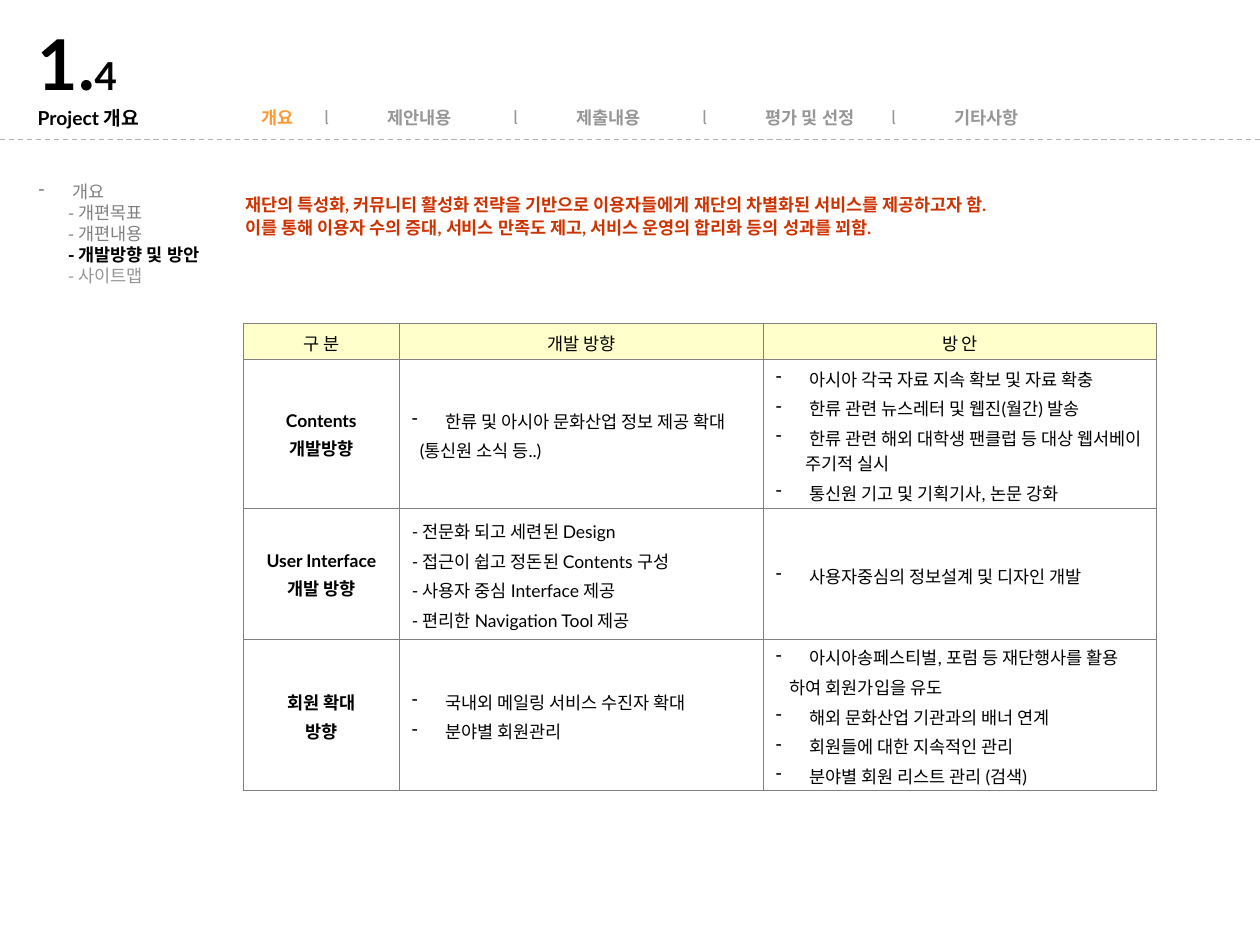
from lxml.etree import SubElement
from pptx import Presentation
from pptx.dml.color import RGBColor
from pptx.enum.dml import MSO_LINE
from pptx.enum.shapes import MSO_CONNECTOR
from pptx.enum.text import MSO_ANCHOR, MSO_AUTO_SIZE, PP_ALIGN
from pptx.oxml.ns import qn
from pptx.util import Pt

LATIN, KOREAN = "Lato", "Noto Sans CJK KR"
BLACK, GRAY, LIGHT_GRAY = "000000", "808080", "969696"
ORANGE, RED, CREAM, WHITE = "FF9933", "CC3300", "FFFFCC", "FFFFFF"
RULE_GRAY = "B2B2B2"
HANG = 17

MENU = ["개요", "제안내용", "제출내용", "평가 및 선정", "기타사항"]
MENU_TABS = [30, 41.5, 87, 99, 145.5, 159, 219, 232.5]

OUTLINE = [
    (" 개요", dict(bullet=True, color=GRAY)),
    ("- 개편목표", dict(color=GRAY)),
    ("- 개편내용", dict(color=GRAY)),
    ("- 개발방향 및 방안", dict(color=BLACK, bold=True)),
    ("- 사이트맵", dict(color=LIGHT_GRAY)),
]

SUMMARY = [
    "재단의 특성화, 커뮤니티 활성화 전략을 기반으로 이용자들에게 재단의 차별화된 서비스를 제공하고자 함.",
    "이를 통해 이용자 수의 증대, 서비스 만족도 제고, 서비스 운영의 합리화 등의 성과를 꾀함.",
]

# A line that starts with a space takes a bullet; a (text, indent) pair is indented.
HEADERS = ["구 분", "개발 방향", "방 안"]
ROWS = [
    (["Contents", "개발방향"],
     [" 한류 및 아시아 문화산업 정보 제공 확대", ("(통신원 소식 등..)", 4.5)],
     [" 아시아 각국 자료 지속 확보 및 자료 확충",
      " 한류 관련 뉴스레터 및 웹진(월간) 발송",
      " 한류 관련 해외 대학생 팬클럽 등 대상 웹서베이 주기적 실시",
      " 통신원 기고 및 기획기사, 논문 강화"]),
    (["User Interface", "개발 방향"],
     ["- 전문화 되고 세련된 Design", "- 접근이 쉽고 정돈된 Contents 구성",
      "- 사용자 중심 Interface 제공", "- 편리한 Navigation Tool 제공"],
     [" 사용자중심의 정보설계 및 디자인 개발"]),
    (["회원 확대", "방향"],
     [" 국내외 메일링 서비스 수진자 확대", " 분야별 회원관리"],
     [" 아시아송페스티벌, 포럼 등 재단행사를 활용",
      ("하여 회원가입을 유도", 8),
      " 해외 문화산업 기관과의 배너 연계",
      " 회원들에 대한 지속적인 관리",
      " 분야별 회원 리스트 관리 (검색)"]),
]
COLUMN_WIDTHS = [89.2, 208, 224.8]
ROW_HEIGHTS = [20.6, 85.2, 74.8, 86.4]


def rgb(value):
    return RGBColor.from_string(value)


def add_span(para, text, size=10, color=BLACK, bold=False, latin=LATIN, asian=LATIN):
    span = para.add_run()
    span.text = text
    font = span.font
    font.size, font.bold, font.name = Pt(size), bold, latin
    font.color.rgb = rgb(color)
    SubElement(font._element, qn("a:ea"), typeface=asian)


def add_para(frame, text="", align=PP_ALIGN.LEFT, bullet=False, indent=0,
             before=0, spacing=None, tabs=(), **span_format):
    """Fill the empty first paragraph of the frame, or add one below."""
    first = len(frame.paragraphs) == 1 and not frame.paragraphs[0].runs
    para = frame.paragraphs[0] if first else frame.add_paragraph()
    properties = para._p.get_or_add_pPr()
    properties.set("marL", str(Pt(HANG if bullet else indent)))
    properties.set("indent", str(-Pt(HANG) if bullet else 0))
    if bullet:
        SubElement(properties, qn("a:buChar"), char="-")
    else:
        SubElement(properties, qn("a:buNone"))
    if tabs:
        tab_list = SubElement(properties, qn("a:tabLst"))
        for position in tabs:
            SubElement(tab_list, qn("a:tab"), pos=str(Pt(position)), algn="l")
    para.alignment = align
    para.space_before = Pt(0 if first else before)
    if spacing:
        para.line_spacing = spacing
    if text:
        add_span(para, text, **span_format)
    return para


def prepare_frame(box, wrap=True):
    frame = box.text_frame
    frame.auto_size = MSO_AUTO_SIZE.NONE
    frame.word_wrap = wrap
    frame.vertical_anchor = MSO_ANCHOR.TOP
    frame.margin_left = frame.margin_right = Pt(7.2)
    frame.margin_top = frame.margin_bottom = Pt(3.6)
    return frame


def add_box(slide, left, top, width, height, wrap=True):
    box = slide.shapes.add_textbox(Pt(left), Pt(top), Pt(width), Pt(height))
    return prepare_frame(box, wrap)


def fill_cell(cell, lines, fill=WHITE, align=PP_ALIGN.LEFT, bold=False):
    properties = cell._tc.get_or_add_tcPr()
    for side in ("lnL", "lnR", "lnT", "lnB"):
        border = SubElement(properties, qn(f"a:{side}"), w=str(Pt(0.45)))
        solid = SubElement(border, qn("a:solidFill"))
        SubElement(solid, qn("a:srgbClr"), val=GRAY)
    cell.fill.solid()
    cell.fill.fore_color.rgb = rgb(fill)
    cell.vertical_anchor = MSO_ANCHOR.MIDDLE
    cell.margin_left = cell.margin_right = Pt(7.2)
    cell.margin_top, cell.margin_bottom = Pt(3), Pt(1)
    for line in lines:
        text, indent = line if isinstance(line, tuple) else (line, 0)
        add_para(cell.text_frame, text, align=align, bullet=text.startswith(" "),
                 indent=indent, before=2.5, bold=bold, asian=KOREAN)


def add_plan_table(slide):
    table = slide.shapes.add_table(
        len(ROWS) + 1, len(HEADERS), Pt(139), Pt(184.7),
        Pt(sum(COLUMN_WIDTHS)), Pt(sum(ROW_HEIGHTS))).table
    table.first_row = table.horz_banding = False
    for column, width in zip(table.columns, COLUMN_WIDTHS):
        column.width = Pt(width)
    for row, height in zip(table.rows, ROW_HEIGHTS):
        row.height = Pt(height)
    for column, header in enumerate(HEADERS):
        fill_cell(table.cell(0, column), [header], CREAM, PP_ALIGN.CENTER)
    for row, contents in enumerate(ROWS, 1):
        for column, lines in enumerate(contents):
            label = column == 0
            fill_cell(table.cell(row, column), lines, bold=label,
                      align=PP_ALIGN.CENTER if label else PP_ALIGN.LEFT)


def main():
    deck = Presentation()
    deck.slide_width, deck.slide_height = Pt(720), Pt(540)
    slide = deck.slides.add_slide(deck.slide_layouts[5])

    title = slide.shapes.title
    title.left, title.top, title.width, title.height = Pt(15), Pt(18), Pt(169), Pt(59)
    frame = prepare_frame(title)
    frame.margin_left, frame.margin_top = Pt(6.5), Pt(3)
    number = add_para(frame, "1.", size=40, bold=True, spacing=0.8)
    add_span(number, "4", size=22, bold=True)
    add_para(frame, "Project 개요", size=11, bold=True, spacing=1.1)

    rule = slide.shapes.add_connector(MSO_CONNECTOR.STRAIGHT, 0, Pt(79.9), Pt(720), Pt(79.9))
    rule.line.color.rgb = rgb(RULE_GRAY)
    rule.line.width = Pt(0.75)
    rule.line.dash_style = MSO_LINE.DASH
    SubElement(rule._element.spPr, qn("a:effectLst"))

    menu = add_para(add_box(slide, 142.5, 57.6, 288, 19.4, wrap=False), tabs=MENU_TABS)
    for index, item in enumerate(MENU):
        if index:
            add_span(menu, "\tl\t", color=LIGHT_GRAY, latin=KOREAN)
        add_span(menu, item, color=LIGHT_GRAY if index else ORANGE, bold=True, latin=KOREAN)

    outline = add_box(slide, 15, 100, 111, 79)
    for text, text_format in OUTLINE:
        add_para(outline, text, indent=HANG, latin=KOREAN, **text_format)

    summary = add_box(slide, 133, 106, 527, 34)
    for text in SUMMARY:
        add_para(summary, text, align=PP_ALIGN.JUSTIFY, spacing=1.1, color=RED, bold=True)

    add_plan_table(slide)
    deck.save("out.pptx")


if __name__ == "__main__":
    main()
